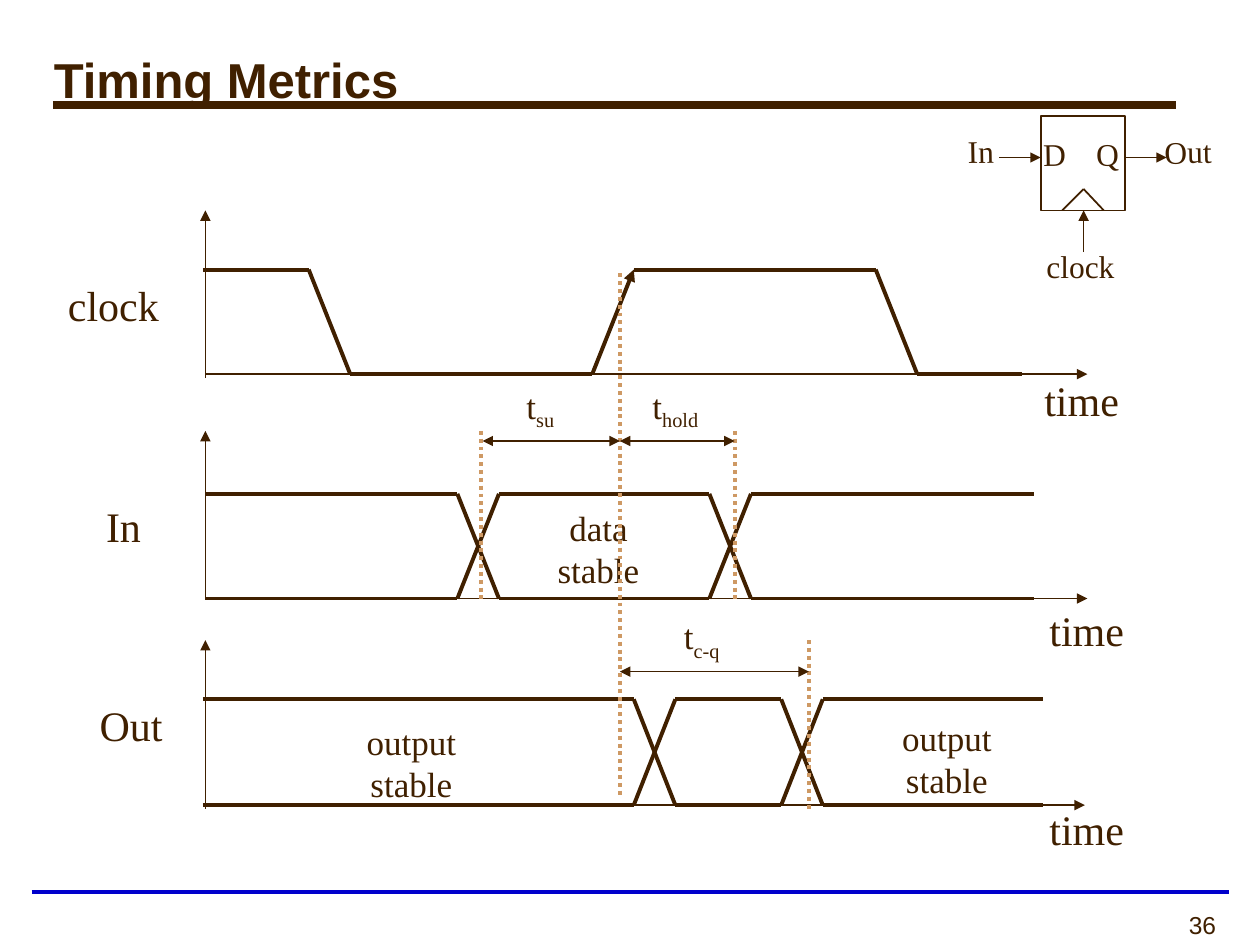
from dataclasses import dataclass
from itertools import pairwise

import pptx
import pptx.dml.color
import pptx.enum.dml
import pptx.enum.shapes
import pptx.enum.text
import pptx.oxml
import pptx.oxml.ns
import pptx.util

Inches = pptx.util.Inches
Pt = pptx.util.Pt
Align = pptx.enum.text.PP_ALIGN
BROWN = pptx.dml.color.RGBColor(0x40, 0x20, 0x00)
BLUE = pptx.dml.color.RGBColor(0x00, 0x00, 0xCC)
TAN = pptx.dml.color.RGBColor(0xCE, 0x99, 0x64)
SERIF = "Times New Roman"
THIN, THICK = 1, 2.25
SLOPE = 0.33


@dataclass
class Label:
    text: str
    box: tuple[float, float, float, float]
    size: float
    subscript: str = ""
    align: Align = Align.CENTER
    font: str = SERIF
    bold: bool = False
    wrap: bool = False
    rotation: float = 0


@dataclass
class Axes:
    top: float
    bottom: float
    left: float
    base: float
    right: float


@dataclass
class Bus:
    left: float
    right: float
    high: float
    low: float
    crossings: tuple[float, ...]


@dataclass
class Interval:
    start: float
    end: float
    y: float
    label: Label
    guides: list[tuple[float, float, float]]


def set_all(target, values: dict) -> None:
    for name, value in values.items():
        setattr(target, name, value)


def draw_line(shapes, start, end, width=THIN, color=BROWN, arrows=(), dotted=False) -> None:
    line = shapes.add_connector(
        pptx.enum.shapes.MSO_CONNECTOR.STRAIGHT, *map(Inches, (*start, *end))
    )
    line.line.color.rgb = color
    line.line.width = Pt(width)
    if dotted:
        line.line.dash_style = pptx.enum.dml.MSO_LINE.ROUND_DOT
    stroke = line.line._get_or_add_ln()
    for end_tag in arrows:
        stroke.append(pptx.oxml.parse_xml(
            f'<a:{end_tag} {pptx.oxml.ns.nsdecls("a")} type="triangle"/>'))
    line._element.spPr.append(
        pptx.oxml.parse_xml(f'<a:effectLst {pptx.oxml.ns.nsdecls("a")}/>'))


def draw_arrow(shapes, start, end, width=THIN) -> None:
    draw_line(shapes, start, end, width, arrows=("tailEnd",))


def draw_label(shapes, label: Label) -> None:
    box = shapes.add_textbox(*map(Inches, label.box))
    box.rotation = label.rotation
    set_all(box.text_frame, {
        "word_wrap": label.wrap,
        "vertical_anchor": pptx.enum.text.MSO_ANCHOR.MIDDLE if label.bold
        else pptx.enum.text.MSO_ANCHOR.TOP,
    })
    style = {"name": label.font, "size": Pt(label.size), "bold": label.bold}
    for index, words in enumerate(label.text.split("\n")):
        frame = box.text_frame
        paragraph = frame.add_paragraph() if index else frame.paragraphs[0]
        paragraph.alignment = label.align
        for part in filter(None, (words, label.subscript)):
            run = paragraph.add_run()
            run.text = part
            set_all(run.font, style)
            run.font.color.rgb = BROWN
            if part == label.subscript:
                run._r.get_or_add_rPr().set("baseline", "-25000")


def draw_axes(shapes, axes: Axes) -> None:
    draw_arrow(shapes, (1.63, axes.bottom), (1.63, axes.top))
    draw_arrow(shapes, (axes.left, axes.base), (axes.right, axes.base))


def draw_bus(shapes, bus: Bus) -> None:
    starts = (bus.left, *(x + SLOPE for x in bus.crossings))
    ends = (*bus.crossings, bus.right)
    for y, opposite in ((bus.high, bus.low), (bus.low, bus.high)):
        for start, end in zip(starts, ends):
            draw_line(shapes, (start, y), (end, y), THICK)
        for x in bus.crossings:
            draw_line(shapes, (x, y), (x + SLOPE, opposite), THICK)


def draw_interval(shapes, interval: Interval) -> None:
    for x, top, bottom in interval.guides:
        draw_line(shapes, (x, top), (x, bottom), THICK, TAN, dotted=True)
    draw_label(shapes, interval.label)
    draw_line(shapes, (interval.start, interval.y), (interval.end, interval.y),
              arrows=("headEnd", "tailEnd"))


AXES = [
    Axes(1.67, 3, 1.63, 2.97, 8.63),
    Axes(3.42, 4.75, 1.63, 4.75, 8.63),
    Axes(5.08, 6.42, 1.61, 6.39, 8.61),
]
CLOCK_EDGES = [(1.61, 2.14), (2.45, 2.14), (2.78, 2.97), (4.7, 2.97),
               (5.03, 2.14), (6.95, 2.14), (7.28, 2.97), (8.11, 2.97)]
RISING_EDGE = (4.7, 2.97)
BUSES = [
    Bus(1.63, 8.21, 3.92, 4.75, (3.63, 5.63)),
    Bus(1.61, 8.28, 5.55, 6.39, (5.03, 6.2)),
]
WAVE_LABELS = [
    Label("clock", (0.42, 2.17, 0.96, 0.5), 24),
    Label("In", (0.74, 3.92, 0.48, 0.5), 24),
    Label("Out", (0.67, 5.5, 0.74, 0.5), 24),
    Label("data\nstable", (4.28, 3.97, 0.94, 0.77), 20),
    Label("output\nstable", (2.78, 5.67, 0.97, 0.77), 20),
    Label("output\nstable", (7.03, 5.64, 0.97, 0.77), 20),
    Label("time", (8.17, 2.92, 0.83, 0.5), 24),
    Label("time", (8.21, 4.75, 0.83, 0.5), 24),
    Label("time", (8.21, 6.33, 0.83, 0.5), 24),
]
REGISTER_LABELS = [
    Label("clock", (8.19, 1.91, 0.77, 0.4), 18),
    Label("D", (8.18, 1.02, 0.38, 0.4), 18, rotation=359),
    Label("Q", (8.59, 1.02, 0.4, 0.4), 18, rotation=359),
    Label("In", (7.58, 1, 0.41, 0.4), 18, rotation=359),
    Label("Out", (9.13, 1, 0.6, 0.4), 18, rotation=359),
]
INTERVALS = [
    Interval(3.83, 4.92, 3.5, Label("t", (4.08, 3, 0.47, 0.43), 20, "su", Align.LEFT),
             [(3.82, 3.42, 4.75), (4.92, 2.17, 6.33)]),
    Interval(4.92, 5.83, 3.5, Label("t", (5.08, 3, 0.62, 0.43), 20, "hold", Align.LEFT),
             [(5.83, 3.42, 4.75)]),
    Interval(4.92, 6.42, 5.33, Label("t", (5.33, 4.83, 0.53, 0.43), 20, "c-q", Align.LEFT),
             [(6.42, 5.08, 6.42)]),
]


def draw_waveforms(shapes) -> None:
    for axes in AXES:
        draw_axes(shapes, axes)
    for start, end in pairwise(CLOCK_EDGES):
        draw = draw_arrow if start == RISING_EDGE else draw_line
        draw(shapes, start, end, THICK)
    for bus in BUSES:
        draw_bus(shapes, bus)
    for label in WAVE_LABELS:
        draw_label(shapes, label)


def draw_register(shapes) -> None:
    body = shapes.add_shape(pptx.enum.shapes.MSO_SHAPE.RECTANGLE,
                            *map(Inches, (8.26, 0.92, 0.67, 0.75)))
    body.shadow.inherit = False
    body.fill.background()
    body.line.color.rgb = BROWN
    body.line.width = Pt(THIN)
    for label in REGISTER_LABELS:
        draw_label(shapes, label)
    for start, end in (((8.6, 2), (8.6, 1.67)), ((7.93, 1.25), (8.26, 1.25)),
                       ((8.93, 1.25), (9.26, 1.25))):
        draw_arrow(shapes, start, end)
    for x in (8.43, 8.76):
        draw_line(shapes, (8.6, 1.5), (x, 1.67))


def main() -> None:
    deck = pptx.Presentation()
    set_all(deck, {"slide_width": Inches(10), "slide_height": Inches(7.5)})
    shapes = deck.slides.add_slide(deck.slide_layouts[6]).shapes
    draw_line(shapes, (0.25, 7.08), (9.75, 7.08), THICK, BLUE)
    draw_label(shapes, Label("36", (7.58, 7.17, 2.17, 0.33), 14, align=Align.RIGHT,
                             font="Arial", wrap=True))
    draw_line(shapes, (0.42, 0.83), (9.33, 0.83), 4.5)
    draw_label(shapes, Label("Timing Metrics", (0.33, 0, 9.17, 1.25), 28, align=Align.LEFT,
                             font="Arial", bold=True, wrap=True))
    draw_waveforms(shapes.add_group_shape().shapes)
    draw_register(shapes.add_group_shape().shapes)
    for interval in INTERVALS:
        draw_interval(shapes.add_group_shape().shapes, interval)
    deck.save("out.pptx")


if __name__ == "__main__":
    main()
